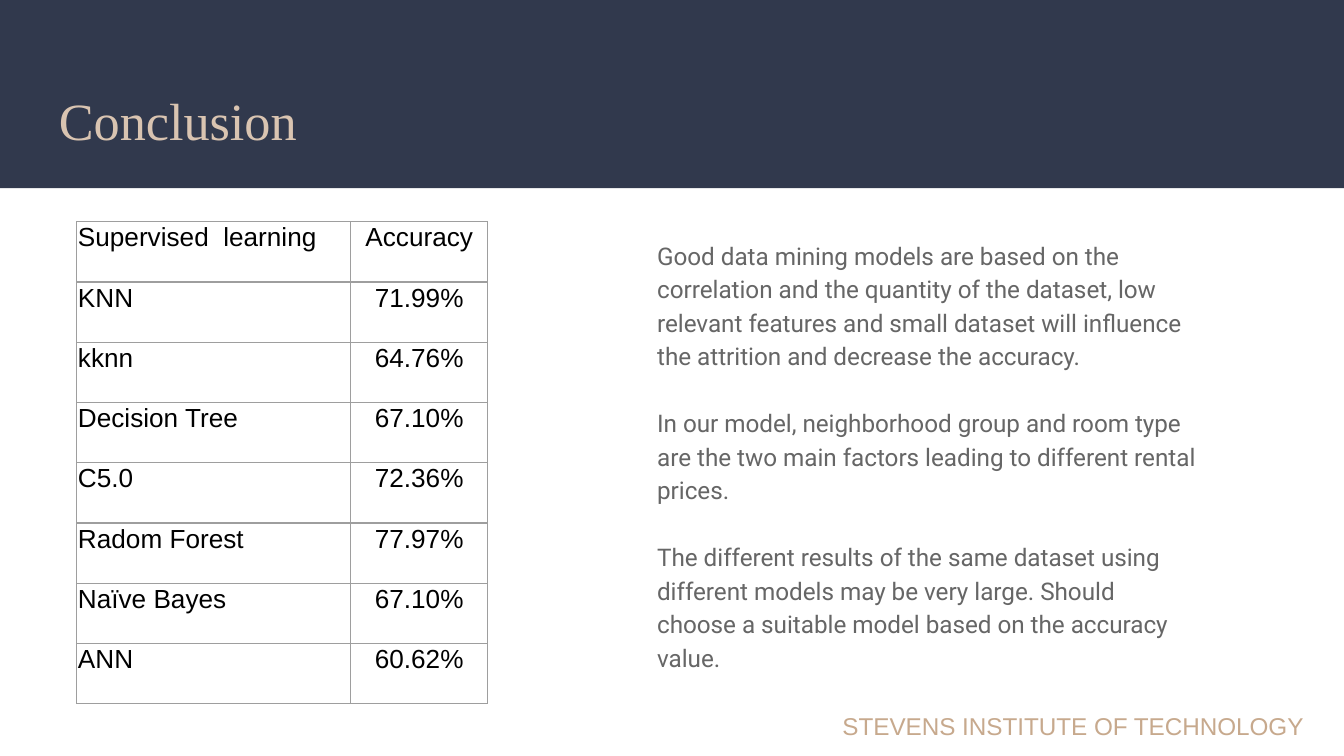
import pptx
import pptx.dml.color
import pptx.enum.shapes
import pptx.enum.text
import pptx.oxml
import pptx.oxml.ns
import pptx.util

Inches = pptx.util.Inches
Pt = pptx.util.Pt
ALIGN = pptx.enum.text.PP_ALIGN
ANCHOR = pptx.enum.text.MSO_ANCHOR


def color(value):
    return pptx.dml.color.RGBColor.from_string(value)


def add_span(para, text, size, font, value):
    span = para.add_run()
    span.text = text
    span.font.size = Pt(size)
    span.font.name = font
    span.font.color.rgb = color(value)


# Widescreen page, 16 to 9
deck = pptx.Presentation()
deck.slide_width = Inches(10)
deck.slide_height = Inches(10 * 9 / 16)
page = deck.slides.add_slide(deck.slide_layouts[6])

# Header band
band = page.shapes.add_shape(pptx.enum.shapes.MSO_SHAPE.RECTANGLE,
                             0, 0, Inches(10), Inches(1.4))
band.shadow.inherit = False
band.fill.solid()
band.fill.fore_color.rgb = color("31394D")
band.line.fill.background()

# Title
title = page.shapes.add_textbox(Inches(0.34), Inches(0.55), Inches(9.32), Inches(0.68))
frame = title.text_frame
frame.word_wrap = True
frame.vertical_anchor = ANCHOR.MIDDLE
frame.margin_top = frame.margin_bottom = Inches(0.1)
add_span(frame.paragraphs[0], "Conclusion", 28, "Times New Roman", "D9C4B1")

# Findings
findings = [
    "Good data mining models are based on the correlation and the quantity of the "
    "dataset, low relevant features and small dataset will influence the attrition "
    "and decrease the accuracy.",
    "In our model, neighborhood group and room type are the two main factors leading "
    "to different rental prices.",
    "The different results of the same dataset using different models may be very "
    "large. Should choose a suitable model based on the accuracy value.",
]
body = page.shapes.add_textbox(Inches(4.63), Inches(1.66), Inches(4.37), Inches(3.36))
frame = body.text_frame
frame.word_wrap = True
frame.margin_left = Inches(0.26)
frame.margin_top = frame.margin_bottom = Inches(0.1)
for index, finding in enumerate(findings):
    para = frame.add_paragraph() if index else frame.paragraphs[0]
    para.line_spacing = 1.15
    if index:
        para.space_before = Pt(18)
    add_span(para, finding, 13, "Roboto", "666666")

# Footer
footer = page.shapes.add_textbox(Inches(6.17), Inches(5.24), Inches(3.65), Inches(0.32))
footer.text_frame.word_wrap = False
add_span(footer.text_frame.paragraphs[0], "STEVENS INSTITUTE OF TECHNOLOGY",
         13, "Arial", "C7A98D")

# Accuracy table
results = [
    ("Supervised  learning", "Accuracy"),
    ("KNN", "71.99%"),
    ("kknn", "64.76%"),
    ("Decision Tree", "67.10%"),
    ("C5.0", "72.36%"),
    ("Radom Forest", "77.97%"),
    ("Naïve Bayes", "67.10%"),
    ("ANN", "60.62%"),
]
table = page.shapes.add_table(len(results), 2, Inches(0.57), Inches(1.65),
                              Inches(3.06), Inches(3.59)).table
table.first_row = False
table.horz_banding = False
table.columns[0].width = Inches(2.04)
table.columns[1].width = Inches(1.02)
for row, values in zip(table.rows, results):
    row.height = Inches(3.59 / len(results))
    for column, value in enumerate(values):
        cell = row.cells[column]
        cell.margin_left = cell.margin_right = cell.margin_top = Inches(0.01)
        cell.margin_bottom = 0
        para = cell.text_frame.paragraphs[0]
        para.alignment = ALIGN.CENTER if column else ALIGN.LEFT
        add_span(para, value, 14, "Arial", "000000")
        # Borders come before the fill in the cell properties
        properties = cell._tc.get_or_add_tcPr()
        for side in ("lnL", "lnR", "lnT", "lnB"):
            properties.append(pptx.oxml.parse_xml(
                f'<a:{side} {pptx.oxml.ns.nsdecls("a")} w="{Pt(0.75)}"><a:solidFill>'
                f'<a:srgbClr val="9E9E9E"/></a:solidFill></a:{side}>'))
        cell.fill.background()

deck.save("out.pptx")
